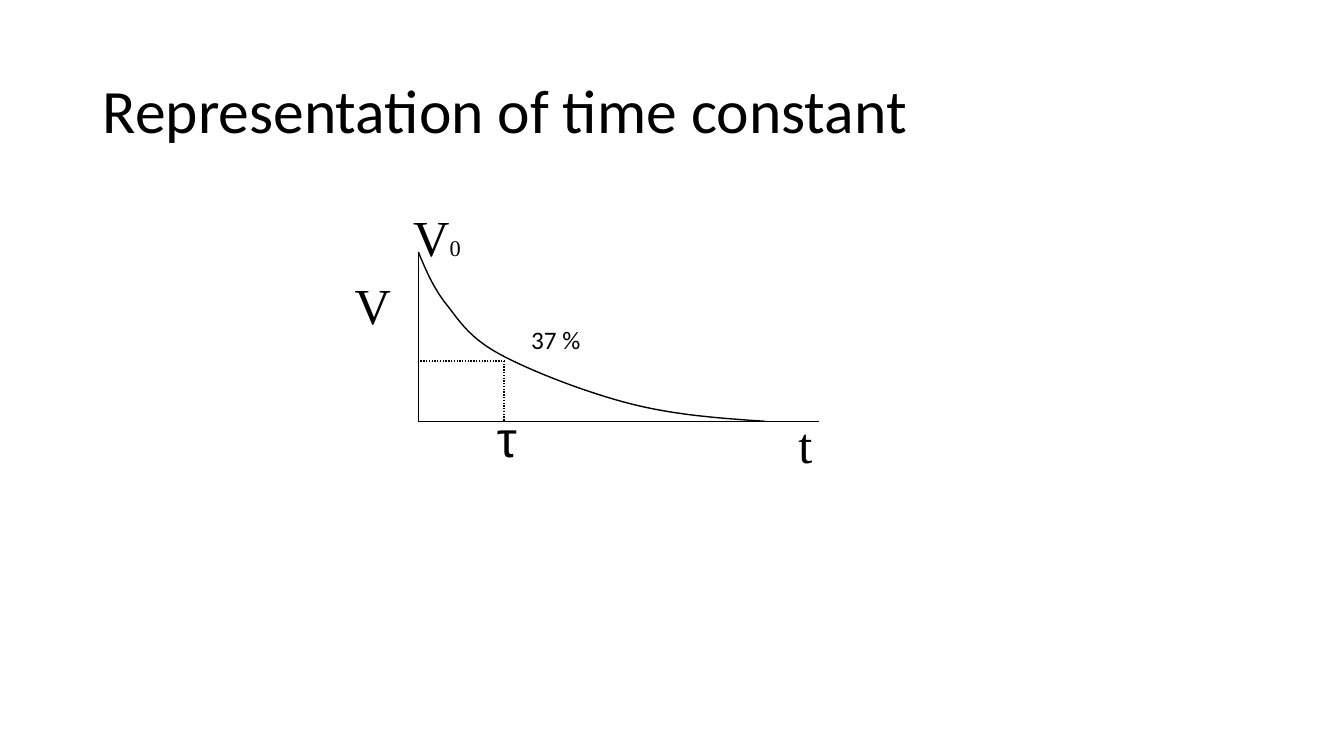
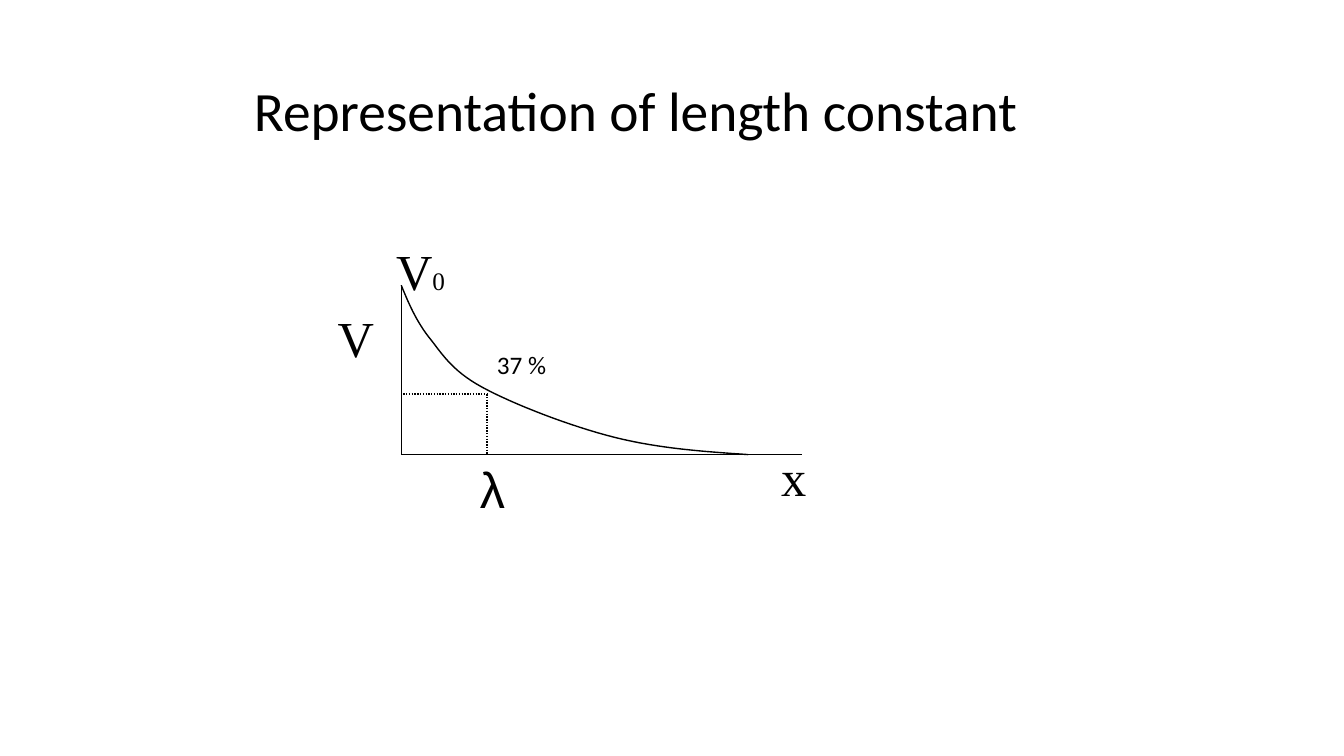
from pptx import Presentation
from pptx.dml.color import RGBColor
from pptx.enum import dml, shapes, text
from pptx.oxml import parse_xml
from pptx.oxml.ns import nsdecls
from pptx.util import Inches, Pt

BLACK = RGBColor(0, 0, 0)
SANS, SERIF, GREEK = "Calibri", "Times New Roman", "Arial"

SLIDES = [
    dict(title="Representation of time constant", box=(0.92, 0.4, 11.5, 1.45),
         size=44, left=4.15, top=2.5, sub=16, axis=("t", 0.34),
         mark=("τ", 0.42, 1.49), note=(1.02, 0.67, 3.42, 0.4)),
    dict(title="Representation of length constant", box=(2.42, 0.5, 8.5, 1.25),
         size=39.6, left=3.98, top=2.83, sub=18, axis=("x", 0.45),
         mark=("λ", 0.48, 1.67), note=(0.85, 0.59, 2.42, 0.4)),
]
WIDE, HIGH = 3.97, 1.68
TAU, LEVEL = 0.85, 1.08
AXES = [(0, 0, 0, HIGH), (0, HIGH, WIDE, HIGH)]
DOTS = [(0.02, LEVEL, TAU, LEVEL), (TAU, LEVEL, TAU, HIGH)]
CURVE = [(0, 0), (0.07, 0.17), (0.14, 0.34), (0.27, 0.51), (0.4, 0.67),
         (0.49, 0.84), (0.8, 1.01), (1.11, 1.18), (1.68, 1.4), (2.12, 1.51),
         (2.56, 1.62), (3, 1.65), (3.44, HIGH)]
STEPS = 16


def write(slide, box, runs, font, mid=False):
    shape = slide.shapes.add_textbox(*map(Inches, box))
    frame = shape.text_frame
    frame.word_wrap = True
    para = frame.paragraphs[0]
    para.font.name = font
    para.font.color.rgb = BLACK
    if mid:
        frame.vertical_anchor = text.MSO_ANCHOR.MIDDLE
        para.line_spacing = 0.9
    else:
        frame.auto_size = text.MSO_AUTO_SIZE.SHAPE_TO_FIT_TEXT
    for words, size in runs:
        run = para.add_run()
        run.text = words
        run.font.size = Pt(size)


def ink(shape):
    shape.line.color.rgb = BLACK
    shape.line.width = Pt(1)


def draw(slide, ends, left, top, dash=None):
    x1, y1, x2, y2 = ends
    line = slide.shapes.add_connector(
        shapes.MSO_CONNECTOR.STRAIGHT, Inches(left + x1), Inches(top + y1),
        Inches(left + x2), Inches(top + y2))
    ink(line)
    if dash:
        line.line.dash_style = dash
    line._element.spPr.append(parse_xml(f"<a:effectLst {nsdecls('a')}/>"))


def trace(knots):
    for i in range(0, len(knots) - 1, 3):
        a, b, c, d = knots[i:i + 4]
        for n in range(1, STEPS + 1):
            t = n / STEPS
            s = 1 - t
            yield tuple(s**3 * p + 3 * s * s * t * q + 3 * s * t * t * r + t**3 * e
                        for p, q, r, e in zip(a, b, c, d))


def plot(slide, left, top):
    pen = slide.shapes.build_freeform(Inches(left), Inches(top))
    pen.add_line_segments([(Inches(left + x), Inches(top + y))
                           for x, y in trace(CURVE)], close=False)
    curve = pen.convert_to_shape()
    curve.fill.background()
    curve.shadow.inherit = False
    ink(curve)


def build(deck, item):
    slide = deck.slides.add_slide(deck.slide_layouts[6])
    left, top = item["left"], item["top"]
    write(slide, item["box"], [(item["title"], item["size"])], SANS, True)
    for ends in AXES:
        draw(slide, ends, left, top)
    plot(slide, left, top)
    for ends in DOTS:
        draw(slide, ends, left, top, dml.MSO_LINE.ROUND_DOT)
    axis, span = item["axis"]
    mark, girth, drop = item["mark"]
    labels = [
        ((-0.15, -0.5, 0.8, 0.7), [("V", 36), ("0", item["sub"])], SERIF),
        ((-0.73, 0.17, 0.6, 0.7), [("V", 36)], SERIF),
        ((3.67, 1.55, span, 0.7), [(axis, 36)], SERIF),
        ((0.68, drop, girth, 0.7), [(mark, 36)], GREEK),
        (item["note"], [("37 %", 18)], SANS),
    ]
    for (x, y, w, h), runs, font in labels:
        write(slide, (left + x, top + y, w, h), runs, font)


def main():
    deck = Presentation()
    deck.slide_width, deck.slide_height = Inches(13.33), Inches(7.5)
    for item in SLIDES:
        build(deck, item)
    deck.save("out.pptx")


if __name__ == "__main__":
    main()
